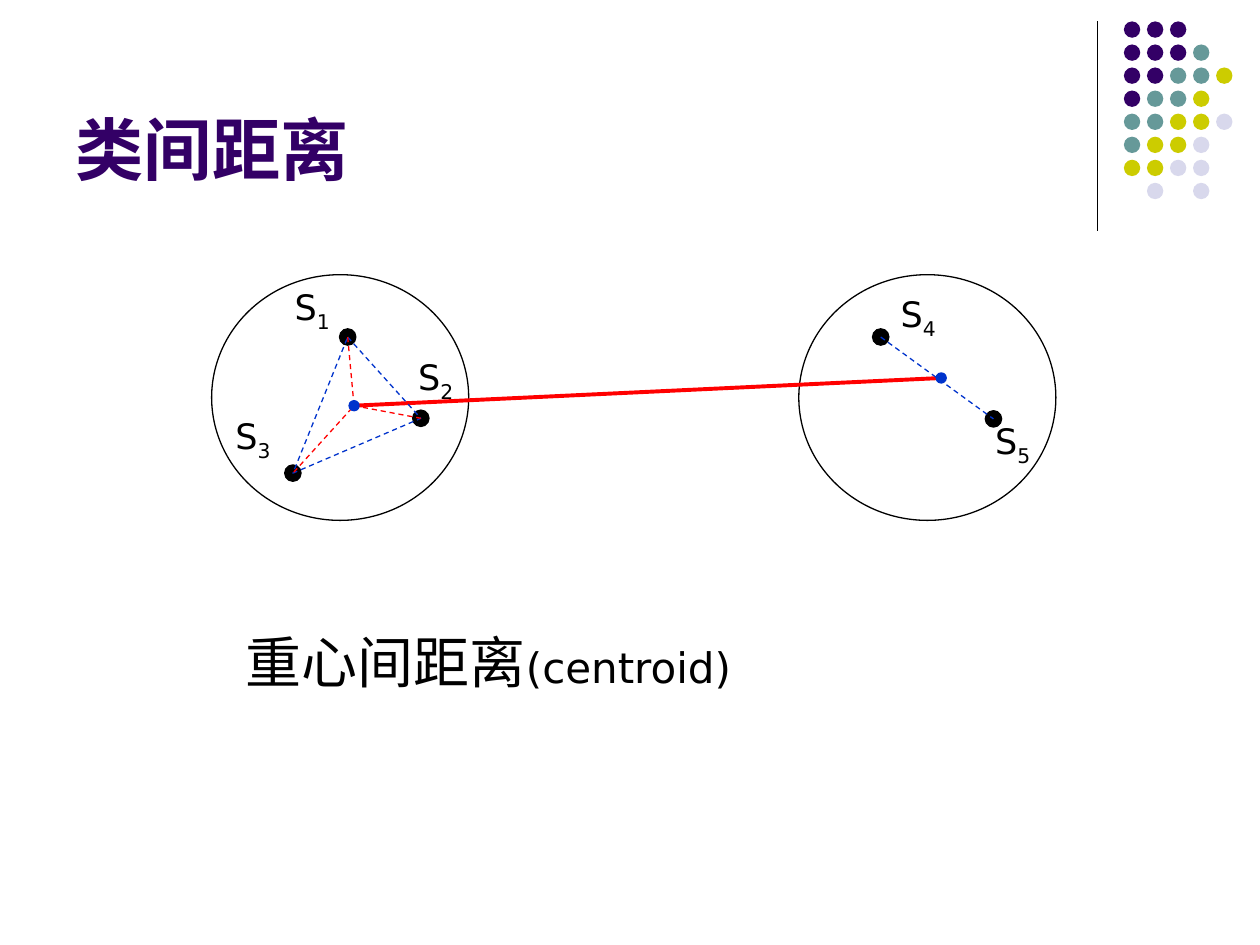
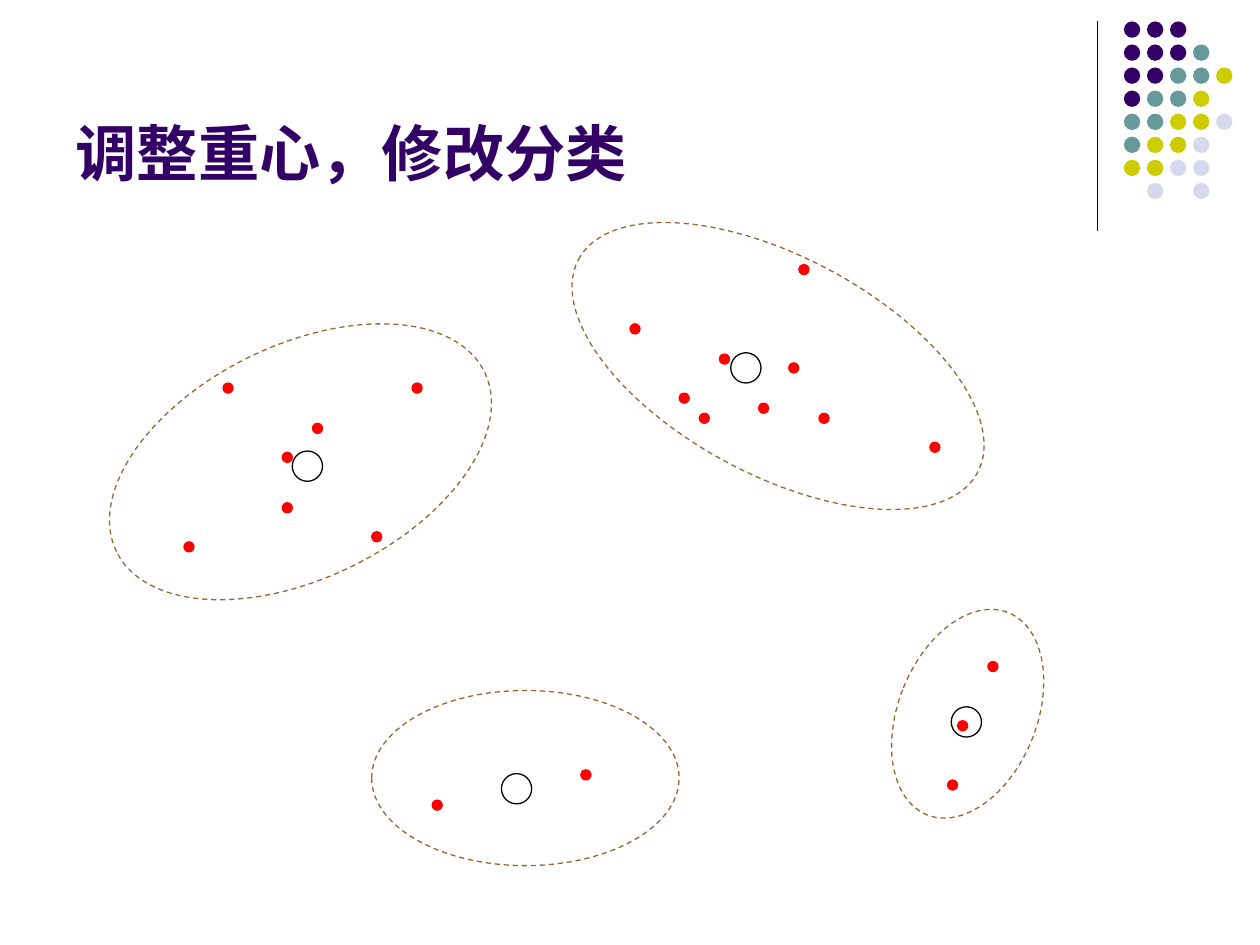
from dataclasses import dataclass

from lxml import etree
from pptx import Presentation
from pptx import util as u
from pptx.dml.color import RGBColor
from pptx.enum import dml, shapes, text
from pptx.oxml import ns

COLUMNS, ROWS = 100, 75
SLIDE_WIDTH, SLIDE_HEIGHT = u.Inches(10), u.Inches(7.5)


@dataclass(frozen=True)
class Theme:
    purple: str = "330066"
    teal: str = "669999"
    olive: str = "CCCC00"
    lilac: str = "D8D8EC"
    black: str = "000000"
    red: str = "FF0000"
    blue: str = "0033CC"
    brown: str = "996633"
    title_font: str = "Arial"
    body_font: str = "DejaVu Sans"
    label_size: int = 20
    caption_size: int = 32
    caption_note_size: int = 24
    thin: float = 0.75
    thick: float = 2.25


THEME = Theme()


@dataclass(frozen=True)
class Box:
    """A region measured in grid columns and rows."""
    left: float
    top: float
    width: float
    height: float

    def point(self, column, row):
        return self.left + column, self.top + row

    def emu(self):
        return (*emu(self.left, self.top), *emu(self.width, self.height))


TITLE_BOX = Box(5, 1.3, 82.5, 14.2)
BAND_BOX = Box(87.1, 1.7, 10.7, 16.6)
BAND_PATTERN = ("PPP", "PPPT", "PPTTO", "PTTO", "TTOOL", "TOOL", "OOLL", " L L")
BAND_COLOURS = {"P": THEME.purple, "T": THEME.teal, "O": THEME.olive, "L": THEME.lilac}


def emu(column, row):
    return int(SLIDE_WIDTH * column / COLUMNS), int(SLIDE_HEIGHT * row / ROWS)


# Drawing helpers
def style_line(line, colour, width=THEME.thin, dashed=False):
    line.color.rgb = RGBColor.from_string(colour)
    line.width = u.Pt(width)
    if dashed:
        line.dash_style = dml.MSO_LINE.DASH


def add_ellipse(slide, box, fill=None, line=None, dashed=False, rotation=0):
    shape = slide.shapes.add_shape(shapes.MSO_SHAPE.OVAL, *box.emu())
    shape.shadow.inherit = False
    shape.rotation = rotation
    if fill:
        shape.fill.solid()
        shape.fill.fore_color.rgb = RGBColor.from_string(fill)
    else:
        shape.fill.background()
    if line:
        style_line(shape.line, line, dashed=dashed)
    else:
        shape.line.fill.background()


def add_spot(slide, centre, size, fill=None, line=None):
    column, row = centre
    add_ellipse(slide, Box(column - size / 2, row - size / 2, size, size), fill, line)


def add_line(slide, start, end, colour, width=THEME.thin, dashed=False):
    connector = slide.shapes.add_connector(
        shapes.MSO_CONNECTOR.STRAIGHT, *emu(*start), *emu(*end))
    style_line(connector.line, colour, width, dashed)
    etree.SubElement(connector._element.spPr, ns.qn("a:effectLst"))


def add_dashed_path(slide, points, colour, close=False):
    start, *others = [emu(*point) for point in points]
    builder = slide.shapes.build_freeform(*start, scale=1.0)
    builder.add_line_segments(others, close=close)
    shape = builder.convert_to_shape()
    shape.shadow.inherit = False
    shape.fill.background()
    style_line(shape.line, colour, dashed=True)


def add_text(slide, box, size):
    frame = slide.shapes.add_textbox(*box.emu()).text_frame
    frame.word_wrap = True
    paragraph = frame.paragraphs[0]
    paragraph.font.name = THEME.body_font
    paragraph.font.size = u.Pt(size)
    paragraph.font.color.rgb = RGBColor.from_string(THEME.black)
    return paragraph


# Parts shared by both slides
def add_band(slide, box):
    add_line(slide, box.point(0, 0), box.point(0, box.height), THEME.black)
    pitch, size = 1.83, 1.3
    for row, pattern in enumerate(BAND_PATTERN):
        for column, key in enumerate(pattern):
            if key in BAND_COLOURS:
                centre = box.point(2.75 + column * pitch, 0.65 + row * pitch)
                add_spot(slide, centre, size, BAND_COLOURS[key])


def add_title(slide, box, wording, size):
    title = slide.shapes.title
    title.left, title.top, title.width, title.height = box.emu()
    frame = title.text_frame
    frame.text = wording
    frame.auto_size = text.MSO_AUTO_SIZE.NONE
    frame.vertical_anchor = text.MSO_ANCHOR.BOTTOM
    paragraph = frame.paragraphs[0]
    paragraph.alignment = text.PP_ALIGN.LEFT
    paragraph.font.name = THEME.title_font
    paragraph.font.size = u.Pt(size)
    paragraph.font.bold = True
    paragraph.font.color.rgb = RGBColor.from_string(THEME.purple)


def new_slide(presentation, wording, size):
    slide = presentation.slides.add_slide(presentation.slide_layouts[5])
    add_band(slide, BAND_BOX)
    add_title(slide, TITLE_BOX, wording, size)
    return slide


# Distance between classes
def add_class_circle(slide, box, samples):
    """Each sample is its index, its centre and the corner of its label."""
    add_ellipse(slide, box, line=THEME.black)
    for index, centre, corner in samples:
        add_spot(slide, box.point(*centre), 1.3, THEME.black, THEME.black)
        label = add_text(slide, Box(*box.point(*corner), 6.3, 4.8), THEME.label_size)
        label.add_run().text = "S"
        subscript = label.add_run()
        subscript.text = index
        subscript._r.get_or_add_rPr().set("baseline", "-25000")
    return [box.point(*centre) for _, centre, _ in samples]


def add_caption(slide, box):
    paragraph = add_text(slide, box, THEME.caption_size)
    paragraph.add_run().text = "重心间距离"
    note = paragraph.add_run()
    note.text = "(centroid)"
    note.font.size = u.Pt(THEME.caption_note_size)


def build_distance_slide(presentation):
    slide = new_slide(presentation, "类间距离", 39)
    right_box = Box(63.4, 21.8, 20.4, 19.5)
    left_box = Box(16.8, 21.8, 20.4, 19.5)
    s4, s5 = add_class_circle(slide, right_box, (
        ("4", (6.5, 4.95), (7.1, 0.9)),
        ("5", (15.45, 11.45), (14.6, 11))))
    s1, s2, s3 = add_class_circle(slide, left_box, (
        ("1", (10.8, 4.95), (5.6, 0.4)),
        ("2", (16.6, 11.4), (15.4, 5.9)),
        ("3", (6.45, 15.75), (0.9, 10.6))))
    add_caption(slide, Box(18.5, 49.3, 55.1, 6.4))

    # Centroids and the lines that lead to them
    left_centroid, right_centroid = left_box.point(11.3, 10.4), right_box.point(11.3, 8.2)
    add_line(slide, left_centroid, right_centroid, THEME.red, THEME.thick)
    add_dashed_path(slide, (s1, s2, s3), THEME.blue, close=True)
    add_dashed_path(slide, (s1, left_centroid, s3), THEME.red)
    add_line(slide, left_centroid, s2, THEME.red, dashed=True)
    add_line(slide, s4, s5, THEME.blue, dashed=True)
    for centroid in (left_centroid, right_centroid):
        add_spot(slide, centroid, 0.8, THEME.blue, THEME.blue)


# Adjusted centroids: outline, rotation, centroid and sample centres
CLUSTERS = (
    (Box(7.6, 27.4, 32.5, 18.5), 334, (16.8, 9.6),
     ((17.6, 6.6), (15.2, 8.9), (7.4, 16), (22.3, 15.2), (25.5, 3.4),
      (15.2, 12.9), (10.5, 3.4))),
    (Box(43.8, 20.4, 35.9, 17.3), 28.1, (15.4, 8.8),
     ((13.7, 8.1), (20, 1), (6.6, 5.7), (10.5, 11.2), (19.2, 8.8),
      (30.4, 15.1), (12.1, 12.8), (16.8, 12), (21.6, 12.8))),
    (Box(71.3, 48, 11, 17.3), 21.9, (5.4, 9.3),
     ((7.5, 4.9), (4.3, 14.3), (5.1, 9.6))),
    (Box(29.5, 54.8, 24.4, 13.9), 0, (11.5, 7.8),
     ((5.2, 9.1), (17, 6.7))),
)


def add_cluster(slide, box, rotation, centroid, samples):
    for sample in samples:
        add_spot(slide, box.point(*sample), 0.8, THEME.red, THEME.red)
    add_ellipse(slide, box, line=THEME.brown, dashed=True, rotation=rotation)
    add_spot(slide, box.point(*centroid), 2.4, line=THEME.black)


def build_adjustment_slide(presentation):
    slide = new_slide(presentation, "调整重心，修改分类", 35)
    for cluster in CLUSTERS:
        add_cluster(slide, *cluster)


def main():
    presentation = Presentation()
    presentation.slide_width, presentation.slide_height = SLIDE_WIDTH, SLIDE_HEIGHT
    build_distance_slide(presentation)
    build_adjustment_slide(presentation)
    presentation.save("out.pptx")


if __name__ == "__main__":
    main()
